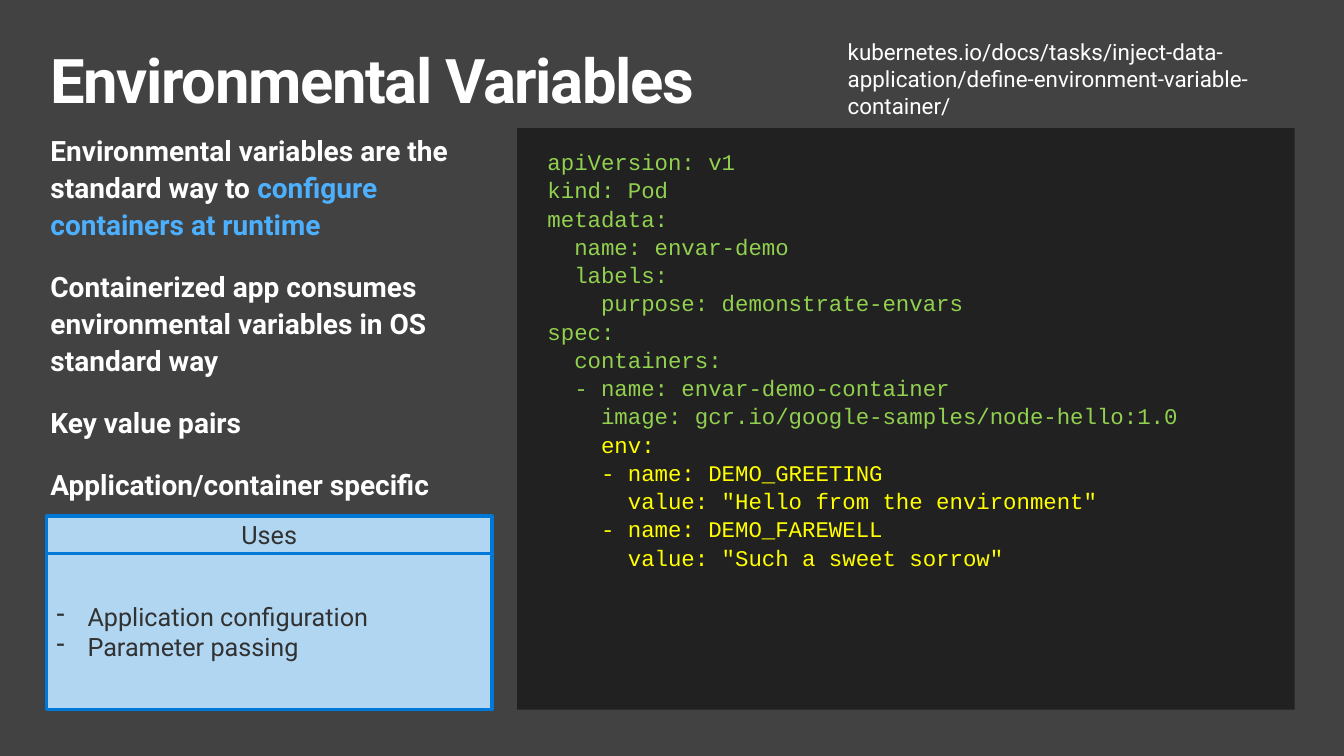
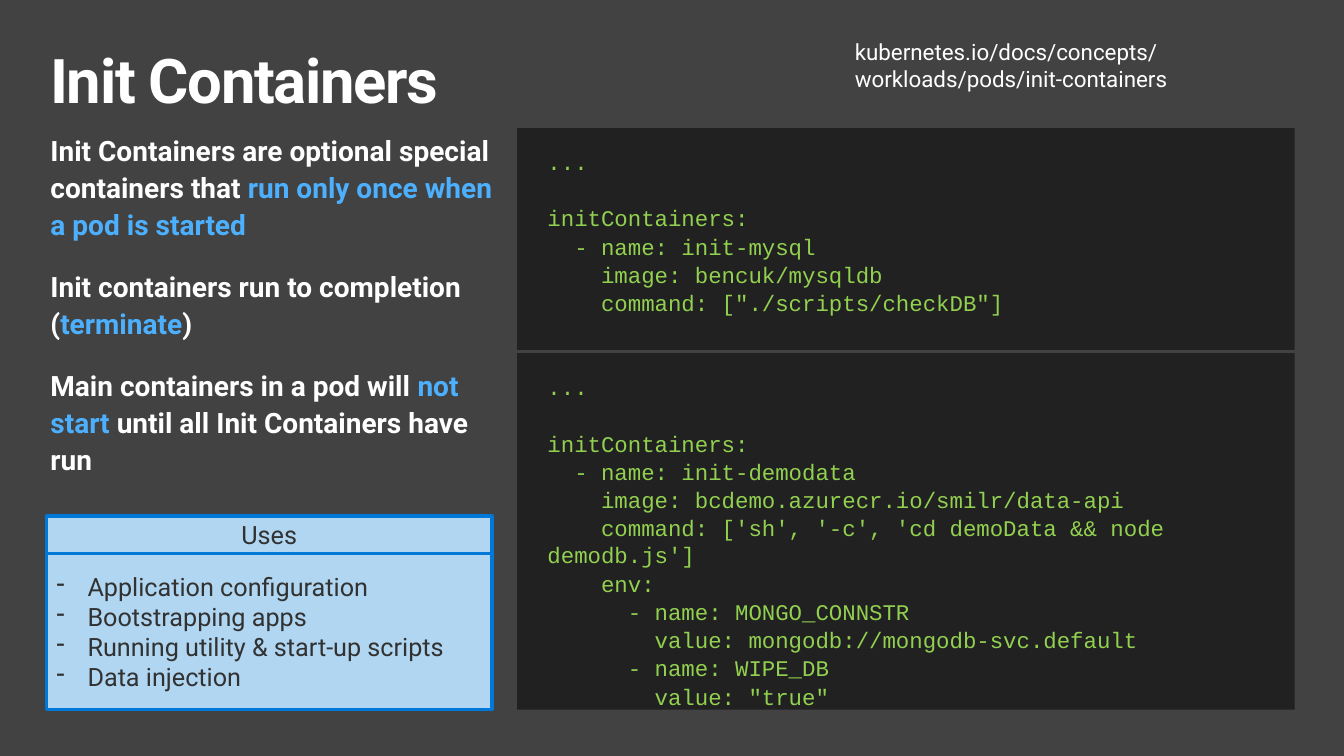
from dataclasses import dataclass
from typing import Any

from lxml import etree
from pptx import Presentation
from pptx.dml.color import RGBColor
from pptx.enum.shapes import MSO_CONNECTOR, MSO_SHAPE
from pptx.enum.text import MSO_ANCHOR, MSO_AUTO_SIZE, PP_ALIGN
from pptx.oxml.ns import qn
from pptx.util import Emu, Pt

STRAIGHT = MSO_CONNECTOR.STRAIGHT
RECTANGLE = MSO_SHAPE.RECTANGLE
TOP, MIDDLE = MSO_ANCHOR.TOP, MSO_ANCHOR.MIDDLE
NO_FIT, GROW = MSO_AUTO_SIZE.NONE, MSO_AUTO_SIZE.SHAPE_TO_FIT_TEXT
LEFT, CENTER = PP_ALIGN.LEFT, PP_ALIGN.CENTER

EMU_PER_PX = 9144
TWO_CONTENT = 3
CODE_LINE_PITCH = 20

BACKGROUND, PANEL = "414241", "202120"
WHITE, BLUE = "FFFFFF", "4DB0FF"
GREEN, YELLOW = "92D050", "FFFF00"
CARD_FILL, CARD_LINE, CARD_TEXT = "B1D6F2", "0078D7", "313231"

TITLE_FONT = {"name": "Roboto", "size": Pt(44), "bold": True}
POINT_FONT = {"name": "Roboto", "size": Pt(20), "bold": True}
CODE_FONT = {"name": "Courier New", "size": Pt(16), "bold": False}
LINK_FONT = {"name": "Roboto", "size": Pt(16)}
CARD_FONT = {"name": "Roboto", "size": Pt(18)}


@dataclass(frozen=True)
class Box:
    left: int
    top: int
    width: int
    height: int


@dataclass(frozen=True)
class Topic:
    title: str
    points: tuple[str, ...]
    uses: tuple[str, ...]
    link: str
    link_box: Box
    code: str
    highlighted_code: str = ""
    divider_top: int | None = None


TITLE_BOX = Box(50, 50, 750, 79)
POINTS_BOX = Box(50, 129, 463, 382)
CODE_BOX = Box(513, 127, 771, 577)
USES_HEADER_BOX = Box(46, 512, 442, 37)
USES_BOX = Box(46, 549, 442, 155)

TOPICS = (
    Topic(
        title="Environmental Variables",
        points=(
            "Environmental variables are the standard way to *configure containers at runtime*",
            "Containerized app consumes environmental variables in OS standard way",
            "Key value pairs",
            "Application/container specific",
        ),
        uses=("Application configuration", "Parameter passing"),
        link="kubernetes.io/docs/tasks/inject-data-application/define-environment-variable-container/",
        link_box=Box(831, 33, 463, 91),
        code="""apiVersion: v1
kind: Pod
metadata:
  name: envar-demo
  labels:
    purpose: demonstrate-envars
spec:
  containers:
  - name: envar-demo-container
    image: gcr.io/google-samples/node-hello:1.0""",
        highlighted_code="""    env:
    - name: DEMO_GREETING
      value: "Hello from the environment"
    - name: DEMO_FAREWELL
      value: "Such a sweet sorrow\"""",
    ),
    Topic(
        title="Init Containers",
        points=(
            "Init Containers are optional special containers that *run only once when a pod is started*",
            "Init containers run to completion (*terminate*)",
            "Main containers in a pod will *not start *until all Init Containers have run",
        ),
        uses=(
            "Application configuration",
            "Bootstrapping apps",
            "Running utility & start-up scripts",
            "Data injection",
        ),
        link="kubernetes.io/docs/concepts/workloads/pods/init-containers",
        link_box=Box(838, 33, 424, 64),
        code="""...

initContainers:
  - name: init-mysql
    image: bencuk/mysqldb
    command: ["./scripts/checkDB"]


...

initContainers:
  - name: init-demodata
    image: bcdemo.azurecr.io/smilr/data-api
    command: ['sh', '-c', 'cd demoData && node demodb.js']
    env:
      - name: MONGO_CONNSTR
        value: mongodb://mongodb-svc.default
      - name: WIPE_DB
        value: "true\"""",
        divider_top=349,
    ),
)


def px(length: int) -> Emu:
    return Emu(length * EMU_PER_PX)


def color(hex_value: str) -> RGBColor:
    return RGBColor.from_string(hex_value)


def apply(target: Any, values: dict[str, Any]) -> None:
    for attribute, value in values.items():
        setattr(target, attribute, value)


def bounds(box: Box) -> tuple[Emu, Emu, Emu, Emu]:
    return px(box.left), px(box.top), px(box.width), px(box.height)


def place(placeholder: Any, box: Box, insets: tuple[int, int, int, int]) -> Any:
    apply(placeholder, dict(zip(("left", "top", "width", "height"), bounds(box))))
    frame = placeholder.text_frame
    sides = ("margin_left", "margin_top", "margin_right", "margin_bottom")
    apply(frame, dict(zip(sides, map(px, insets))))
    apply(frame, {"word_wrap": True, "auto_size": NO_FIT, "vertical_anchor": TOP})
    return frame


def next_paragraph(frame: Any, index: int, values: dict[str, Any]) -> Any:
    paragraph = frame.add_paragraph() if index else frame.paragraphs[0]
    apply(paragraph, {"alignment": LEFT, "space_before": Pt(0)} | values)
    return paragraph


def set_bullet(paragraph: Any, mark: str = "", indent: int = 0) -> None:
    properties = paragraph._p.get_or_add_pPr()
    properties.set("marL", str(px(indent)))
    properties.set("indent", str(-px(indent)))
    if mark:
        etree.SubElement(properties, qn("a:buChar")).set("char", mark)
    else:
        etree.SubElement(properties, qn("a:buNone"))


def add_run(paragraph: Any, text: str, font: dict[str, Any], hex_value: str) -> Any:
    run = paragraph.add_run()
    run.text = text
    apply(run.font, font)
    run.font.color.rgb = color(hex_value)
    return run


def write_title(placeholder: Any, title: str) -> None:
    frame = place(placeholder, TITLE_BOX, (0, 0, 0, 0))
    heading = next_paragraph(frame, 0, {"line_spacing": 0.9})
    run = add_run(heading, title, TITLE_FONT, WHITE)
    run._r.get_or_add_rPr().set("spc", "-100")


def write_points(placeholder: Any, points: tuple[str, ...]) -> None:
    frame = place(placeholder, POINTS_BOX, (0, 0, 20, 0))
    for index, point in enumerate(points):
        spacing = {
            "line_spacing": 1.1,
            "space_before": Pt(12 if index else 0),
            "space_after": Pt(6),
        }
        paragraph = next_paragraph(frame, index, spacing)
        set_bullet(paragraph)
        for part, text in enumerate(point.split("*")):
            if text:
                add_run(paragraph, text, POINT_FONT, BLUE if part % 2 else WHITE)


def write_code(placeholder: Any, topic: Topic) -> None:
    frame = place(placeholder, CODE_BOX, (30, 20, 20, 20))
    placeholder.fill.solid()
    placeholder.fill.fore_color.rgb = color(PANEL)
    lines = [(line, GREEN) for line in topic.code.splitlines()]
    lines += [(line, YELLOW) for line in topic.highlighted_code.splitlines()]
    written = skipped = 0
    for line, hex_value in lines:
        if not line:
            skipped += 1
            continue
        spacing = {"space_before": Pt(CODE_LINE_PITCH * skipped), "space_after": Pt(1)}
        paragraph = next_paragraph(frame, written, spacing)
        set_bullet(paragraph)
        add_run(paragraph, line, CODE_FONT, hex_value)
        written += 1
        skipped = 0


def add_card(slide: Any, box: Box) -> Any:
    card = slide.shapes.add_shape(RECTANGLE, *bounds(box))
    card.shadow.inherit = False
    card.fill.solid()
    card.fill.fore_color.rgb = color(CARD_FILL)
    card.line.color.rgb = color(CARD_LINE)
    card.line.width = Pt(2.25)
    apply(card.text_frame, {"word_wrap": True, "vertical_anchor": MIDDLE})
    return card.text_frame


def add_uses(slide: Any, uses: tuple[str, ...]) -> None:
    uses_frame = add_card(slide, USES_BOX)
    for index, use in enumerate(uses):
        paragraph = next_paragraph(uses_frame, index, {})
        set_bullet(paragraph, "-", 31)
        add_run(paragraph, use, CARD_FONT, CARD_TEXT)
    header_frame = add_card(slide, USES_HEADER_BOX)
    header = next_paragraph(header_frame, 0, {"alignment": CENTER})
    add_run(header, "Uses", CARD_FONT, CARD_TEXT)


def add_link(slide: Any, link: str, box: Box) -> None:
    frame = slide.shapes.add_textbox(*bounds(box)).text_frame
    apply(frame, {"word_wrap": True, "auto_size": GROW})
    add_run(next_paragraph(frame, 0, {}), link, LINK_FONT, WHITE)


def add_divider(slide: Any, top: int) -> None:
    right = CODE_BOX.left + CODE_BOX.width
    divider = slide.shapes.add_connector(
        STRAIGHT, px(CODE_BOX.left), px(top), px(right), px(top)
    )
    divider.line.color.rgb = color(BACKGROUND)
    divider.line.width = Pt(2.25)
    etree.SubElement(divider._element.spPr, qn("a:effectLst"))


def add_topic(deck: Any, topic: Topic) -> None:
    slide = deck.slides.add_slide(deck.slide_layouts[TWO_CONTENT])
    title, points, code = slide.placeholders
    write_title(title, topic.title)
    write_points(points, topic.points)
    write_code(code, topic)
    add_uses(slide, topic.uses)
    add_link(slide, topic.link, topic.link_box)
    if topic.divider_top is not None:
        add_divider(slide, topic.divider_top)


def main() -> None:
    deck = Presentation()
    apply(deck, {"slide_width": px(1333), "slide_height": px(750)})
    backdrop = deck.slide_master.background.fill
    backdrop.solid()
    backdrop.fore_color.rgb = color(BACKGROUND)
    for topic in TOPICS:
        add_topic(deck, topic)
    deck.save("out.pptx")


if __name__ == "__main__":
    main()
